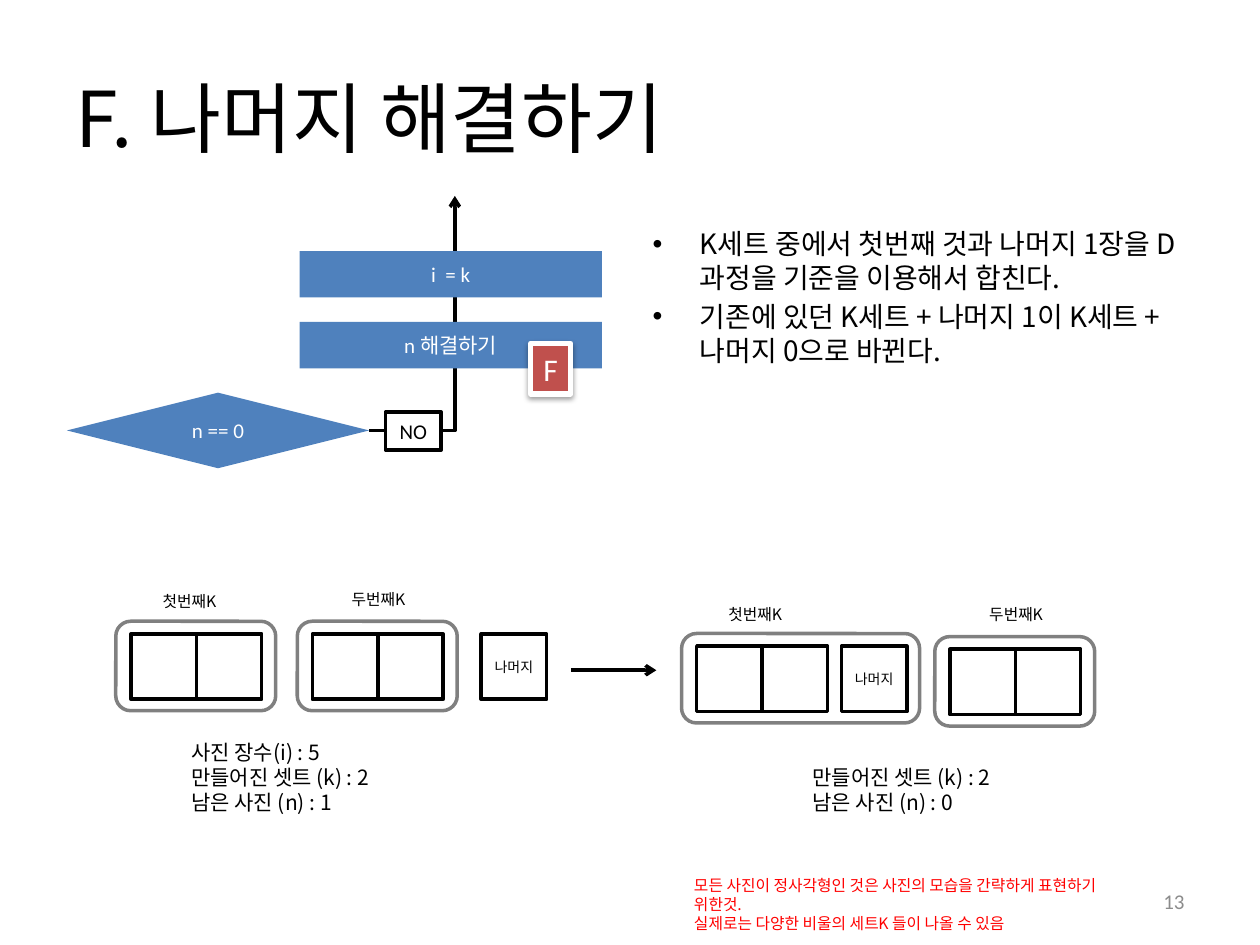
from pptx import Presentation
from pptx.dml.color import RGBColor
from pptx.enum.shapes import MSO_CONNECTOR, MSO_SHAPE
from pptx.enum.text import MSO_ANCHOR, PP_ALIGN
from pptx.oxml.ns import qn
from pptx.util import Pt
from lxml.etree import SubElement

KOREAN, LATIN = "Noto Sans CJK KR", "Calibri"
BLACK, WHITE, BLUE, GRAY = "000000", "FFFFFF", "4F81BD", "808080"
PHOTO, FRAME_W, FRAME_H = 37.4, 91.4, 51.1


def rgb(color):
    """Turn a hex string into a colour."""
    return RGBColor.from_string(color)


def write(tf, lines, size, font=KOREAN, color=BLACK, align=PP_ALIGN.LEFT):
    """Fill a text frame with one paragraph per line."""
    tf.word_wrap = True
    for i, line in enumerate(lines):
        p = tf.paragraphs[0] if i == 0 else tf.add_paragraph()
        p.alignment = align
        r = p.add_run()
        r.text = line
        r.font.size, r.font.name = Pt(size), font
        r.font.color.rgb = rgb(color)
        SubElement(r.font._element, qn("a:ea"), typeface=KOREAN)


def text_box(s, box, lines, size, anchor=MSO_ANCHOR.TOP, **style):
    """Add a wrapped text box and return its text frame."""
    tf = s.shapes.add_textbox(*map(Pt, box)).text_frame
    tf.vertical_anchor = anchor
    write(tf, lines, size, **style)
    return tf


def shape(s, kind, box, fill=None, line=None, width=2, text=None, size=12, font=LATIN, color=WHITE):
    """Add a preset shape with optional centred text."""
    sp = s.shapes.add_shape(kind, *map(Pt, box))
    sp.shadow.inherit = False
    if fill:
        sp.fill.solid()
        sp.fill.fore_color.rgb = rgb(fill)
    else:
        sp.fill.background()
    if line:
        sp.line.color.rgb = rgb(line)
        sp.line.width = Pt(width)
    else:
        sp.line.fill.background()
    if text:
        tf = sp.text_frame
        tf.margin_left = tf.margin_right = tf.margin_top = tf.margin_bottom = 0
        tf.vertical_anchor = MSO_ANCHOR.MIDDLE
        write(tf, [text], size, font, color, PP_ALIGN.CENTER)
    return sp


def arrow(s, kind, start, end):
    """Add a black connector with an open arrowhead at its end."""
    cxn = s.shapes.add_connector(kind, *map(Pt, start + end))
    cxn.line.color.rgb = rgb(BLACK)
    cxn.line.width = Pt(2)
    SubElement(cxn.line._get_or_add_ln(), qn("a:tailEnd"), type="arrow")
    spPr = cxn._element.spPr
    SubElement(spPr, qn("a:effectLst"))
    if kind == MSO_CONNECTOR.ELBOW:
        spPr.find(qn("a:prstGeom")).set("prst", "bentConnector2")


def add_shadow(sp):
    """Give a shape a soft shadow below it."""
    effects = sp._element.spPr.find(qn("a:effectLst"))
    shadow = SubElement(effects, qn("a:outerShdw"), blurRad=str(Pt(3.1)),
                        dist=str(Pt(1.6)), dir="5400000", rotWithShape="0")
    color = SubElement(shadow, qn("a:srgbClr"), val=BLACK)
    SubElement(color, qn("a:alpha"), val="38000")


def bullets(s, box, lines):
    """Add a bulleted list with hanging indents."""
    tf = text_box(s, box, lines, 16)
    for p in tf.paragraphs:
        p.space_before = Pt(3.2)
        pPr = p._p.get_or_add_pPr()
        pPr.set("marL", str(Pt(27)))
        pPr.set("indent", str(Pt(-27)))
        SubElement(pPr, qn("a:buFont"), typeface="Arial")
        SubElement(pPr, qn("a:buChar"), char="•")


def flowchart(s, x, y):
    """Draw the test, its NO branch and the two steps above it."""
    shape(s, MSO_SHAPE.DIAMOND, (x, y + 112.4, 172.8, 43.2), BLUE, text="n == 0")
    arrow(s, MSO_CONNECTOR.ELBOW, (x + 172.8, y + 134), (x + 221.7, y))
    for dy, text in ((31.5, "i  = k"), (72, "n 해결하기")):
        shape(s, MSO_SHAPE.RECTANGLE, (x + 133, y + dy, 172.8, 26.5), BLUE, text=text)
    badge = shape(s, MSO_SHAPE.RECTANGLE, (x + 265, y + 84.2, 23, 29), "C0504D", WHITE, 3, "F", 18)
    add_shadow(badge)
    shape(s, MSO_SHAPE.RECTANGLE, (x + 182.2, y + 123.5, 31.7, 21.8), WHITE, BLACK, text="NO", color=BLACK)


def photo(s, x, y, text=None):
    """Draw one square photo."""
    shape(s, MSO_SHAPE.RECTANGLE, (x, y, PHOTO, PHOTO), WHITE, BLACK,
          text=text, size=8, font=KOREAN, color=BLACK)


def photo_set(s, x, y, label, dx, dy, extra=None):
    """Draw a framed pair of photos with its label and an optional extra photo."""
    for i in range(2):
        photo(s, x + 8.6 + i * PHOTO, y + 7.2)
    if extra:
        photo(s, x + FRAME_W, y + 7.2, extra)
    width = FRAME_W + (PHOTO + 7.2 if extra else 0)
    shape(s, MSO_SHAPE.ROUNDED_RECTANGLE, (x, y, width, FRAME_H), line=GRAY)
    text_box(s, (x + dx, y + dy, 61.2, 18), [label], 9, align=PP_ALIGN.CENTER)


def before(s, x, y):
    """Draw the two sets and the leftover photo, with their counts."""
    photo_set(s, x, y, "첫번째K", 11.5, -20.2)
    photo_set(s, x + 103.7, y, "두번째K", 15.8, -21.6)
    photo(s, x + 208.8, y + 7.2, "나머지")
    text_box(s, (x + 36, y + 64, 118.8, 51),
             ["사진 장수(i) : 5", "만들어진 셋트 (k) : 2", "남은 사진 (n) : 1"], 12)


def after(s, x, y):
    """Draw the sets once the leftover is merged, with counts and remark."""
    photo_set(s, x, y, "첫번째K", 11.5, -20.2, "나머지")
    photo_set(s, x + 144.7, y + 1.8, "두번째K", 15.8, -21.6)
    text_box(s, (x + 67.7, y + 71.3, 118.8, 36), ["만들어진 셋트 (k) : 2", "남은 사진 (n) : 0"], 12)
    text_box(s, (x, y + 134.8, 268.6, 28.8),
             ["모든 사진이 정사각형인 것은 사진의 모습을 간략하게 표현하기 위한것.",
              "실제로는 다양한 비울의 세트K 들이 나올 수 있음"], 9, color="FF0000")


def main():
    """Build the slide and save it."""
    prs = Presentation()
    prs.slide_width, prs.slide_height = Pt(720), Pt(540)
    s = prs.slides.add_slide(prs.slide_layouts[6])
    text_box(s, (36, 21.6, 648, 90), ["F. 나머지 해결하기"], 44, MSO_ANCHOR.MIDDLE)
    bullets(s, (365.8, 126, 318.2, 131),
            ["K세트 중에서 첫번째 것과 나머지 1장을 D과정을 기준을 이용해서 합친다.",
             "기존에 있던 K세트 + 나머지 1이 K세트 + 나머지 0으로 바뀐다."])
    flowchart(s, 38.2, 112)
    before(s, 66.2, 355)
    arrow(s, MSO_CONNECTOR.STRAIGHT, (326.2, 383), (375.1, 383))
    after(s, 389.5, 362)
    text_box(s, (516.2, 500.4, 167.8, 28.8), ["13"], 12, MSO_ANCHOR.MIDDLE,
             font=LATIN, color="8C8C8C", align=PP_ALIGN.RIGHT)
    prs.save("out.pptx")


if __name__ == "__main__":
    main()
